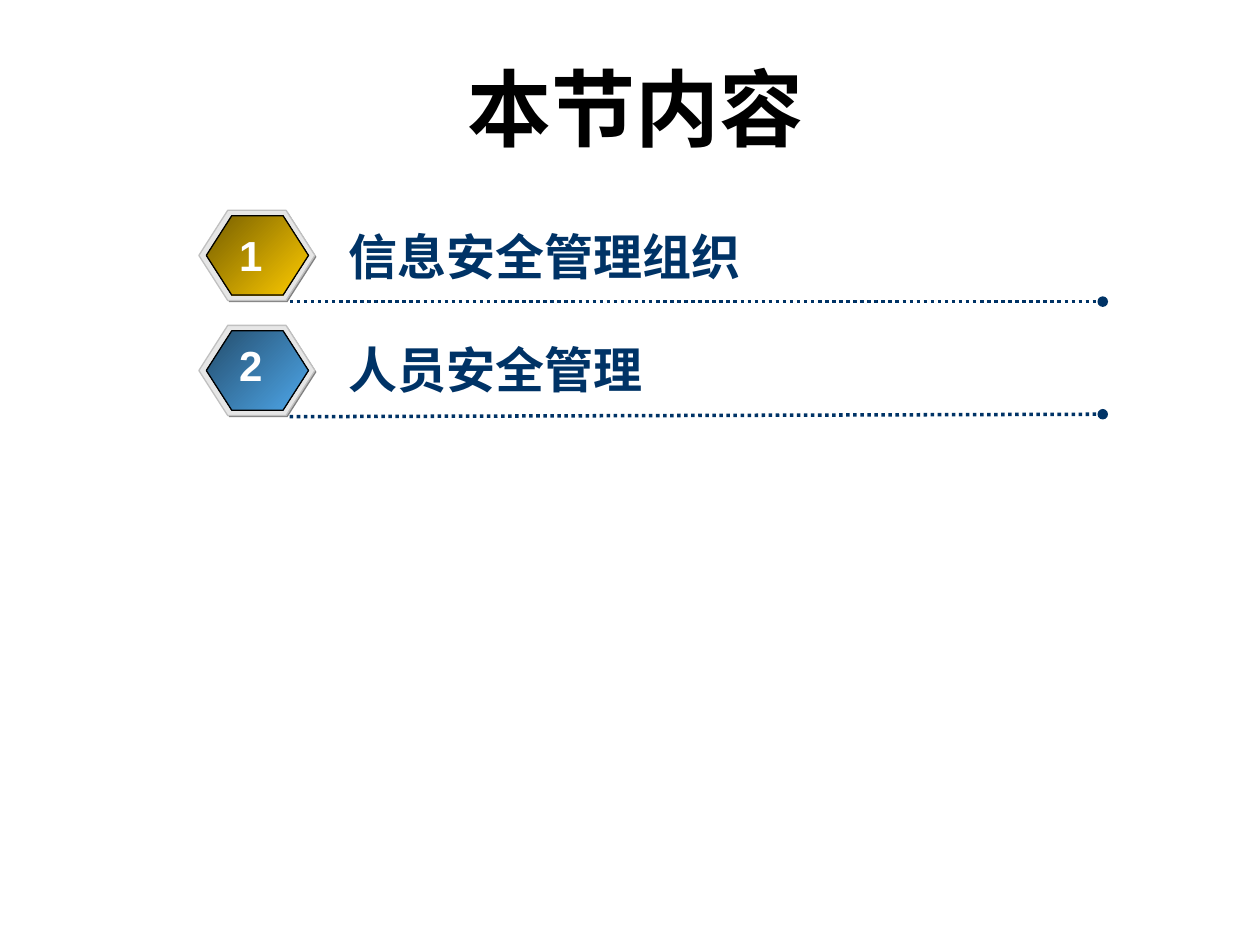
from pptx import Presentation
from pptx.dml.color import RGBColor
from pptx.enum.dml import MSO_LINE
from pptx.enum.shapes import MSO_CONNECTOR, MSO_SHAPE
from pptx.enum.text import MSO_ANCHOR, PP_ALIGN
from pptx.oxml.ns import qn
from pptx.util import Cm, Pt
from lxml import etree

HEXAGON = MSO_SHAPE.HEXAGON
STRAIGHT = MSO_CONNECTOR.STRAIGHT
DOTTED = MSO_LINE.ROUND_DOT
LEFT, CENTER = PP_ALIGN.LEFT, PP_ALIGN.CENTER
TOP, MIDDLE = MSO_ANCHOR.TOP, MSO_ANCHOR.MIDDLE

BLACK = RGBColor(0x00, 0x00, 0x00)
WHITE = RGBColor(0xFF, 0xFF, 0xFF)
NAVY = RGBColor(0x00, 0x33, 0x66)
SHADE = RGBColor(0x80, 0x80, 0x80)
RIM = RGBColor(0xE6, 0xE6, 0xE6)
RIM_LINE = RGBColor(0xC0, 0xC0, 0xC0)
GOLD = (RGBColor(0x76, 0x5E, 0x00), RGBColor(0xFF, 0xCC, 0x00))
BLUE = (RGBColor(0x24, 0x4D, 0x6C), RGBColor(0x4E, 0xA7, 0xEA))

SANS_SC = "Noto Sans CJK SC"
SANS_JP = "Noto Sans CJK JP"


class Agenda:
    latin = "Arial"
    row_top = 4.24
    row_pitch = 2.32

    def __init__(self, prs):
        self.s = prs.slides.add_slide(prs.slide_layouts[6])

    def text(self, shapes, text, x, y, w, h, size, color, latin=latin,
             asian=SANS_SC, align=LEFT, anchor=TOP, wrap=False, inset=(0.25, 0.13)):
        tf = shapes.add_textbox(Cm(x), Cm(y), Cm(w), Cm(h)).text_frame
        tf.word_wrap = wrap
        tf.vertical_anchor = anchor
        tf.margin_left = tf.margin_right = Cm(inset[0])
        tf.margin_top = tf.margin_bottom = Cm(inset[1])
        p = tf.paragraphs[0]
        p.alignment = align
        r = p.add_run()
        r.text = text
        r.font.name = latin
        r.font.size = Pt(size)
        r.font.bold = True
        r.font.color.rgb = color
        ea = etree.SubElement(r.font._element, qn("a:ea"))
        ea.set("typeface", asian)

    def hexagon(self, shapes, x, y, w, h, colors, line=None):
        sp = shapes.add_shape(HEXAGON, Cm(x), Cm(y), Cm(w), Cm(h))
        sp.shadow.inherit = False
        sp.adjustments[0] = 0.32
        if len(colors) == 1:
            sp.fill.solid()
            sp.fill.fore_color.rgb = colors[0]
        else:
            sp.fill.gradient()
            sp.fill.gradient_angle = 315
            for stop, color in zip(sp.fill.gradient_stops, colors):
                stop.color.rgb = color
        if line is None:
            sp.line.fill.background()
        else:
            sp.line.color.rgb = line
            sp.line.width = Pt(0.75)

    def rule(self, shapes, x1, y1, x2, y2):
        line = shapes.add_connector(STRAIGHT, Cm(x1), Cm(y1), Cm(x2), Cm(y2))
        line.line.color.rgb = NAVY
        line.line.width = Pt(2)
        line.line.dash_style = DOTTED
        sp_pr = line._element.spPr
        tail = etree.SubElement(sp_pr.find(qn("a:ln")), qn("a:tailEnd"))
        tail.set("type", "oval")
        etree.SubElement(sp_pr, qn("a:effectLst"))

    def title(self, text):
        self.text(self.s.shapes, text, 2.11, 1.49, 21.39, 1.35, 48, BLACK,
                  latin=SANS_SC, align=CENTER, anchor=MIDDLE, wrap=True, inset=(0, 0))

    def item(self, number, label, width, colors, latin, asian,
             label_dy, number_dy, rule_rise):
        y = self.row_top + (number - 1) * self.row_pitch
        shapes = self.s.shapes.add_group_shape().shapes
        self.rule(shapes, 5.84, y + 1.84, 22.23, y + 1.84 - rule_rise)
        self.text(shapes, label, 6.78, y + label_dy, width, 1.45, 28, NAVY,
                  latin=latin, asian=asian)
        self.hexagon(shapes, 4.04, y + 0.03, 2.34, 1.82, (SHADE,))
        self.hexagon(shapes, 4.01, y, 2.34, 1.82, (RIM,), RIM_LINE)
        self.hexagon(shapes, 4.16, y + 0.11, 2.06, 1.6, colors, BLACK)
        self.text(shapes, str(number), 4.57, y + number_dy, 0.97, 1.27, 24, WHITE,
                  align=CENTER)


def main():
    prs = Presentation()
    prs.slide_width, prs.slide_height = Cm(25.4), Cm(19.05)
    agenda = Agenda(prs)
    agenda.title("本节内容")
    agenda.item(1, "信息安全管理组织", 8.6, GOLD, "Arial", SANS_SC, 0.19, 0.26, 0)
    agenda.item(2, "人员安全管理", 6.6, BLUE, SANS_JP, SANS_JP, 0.15, 0.15, 0.05)
    prs.save("out.pptx")


if __name__ == "__main__":
    main()
